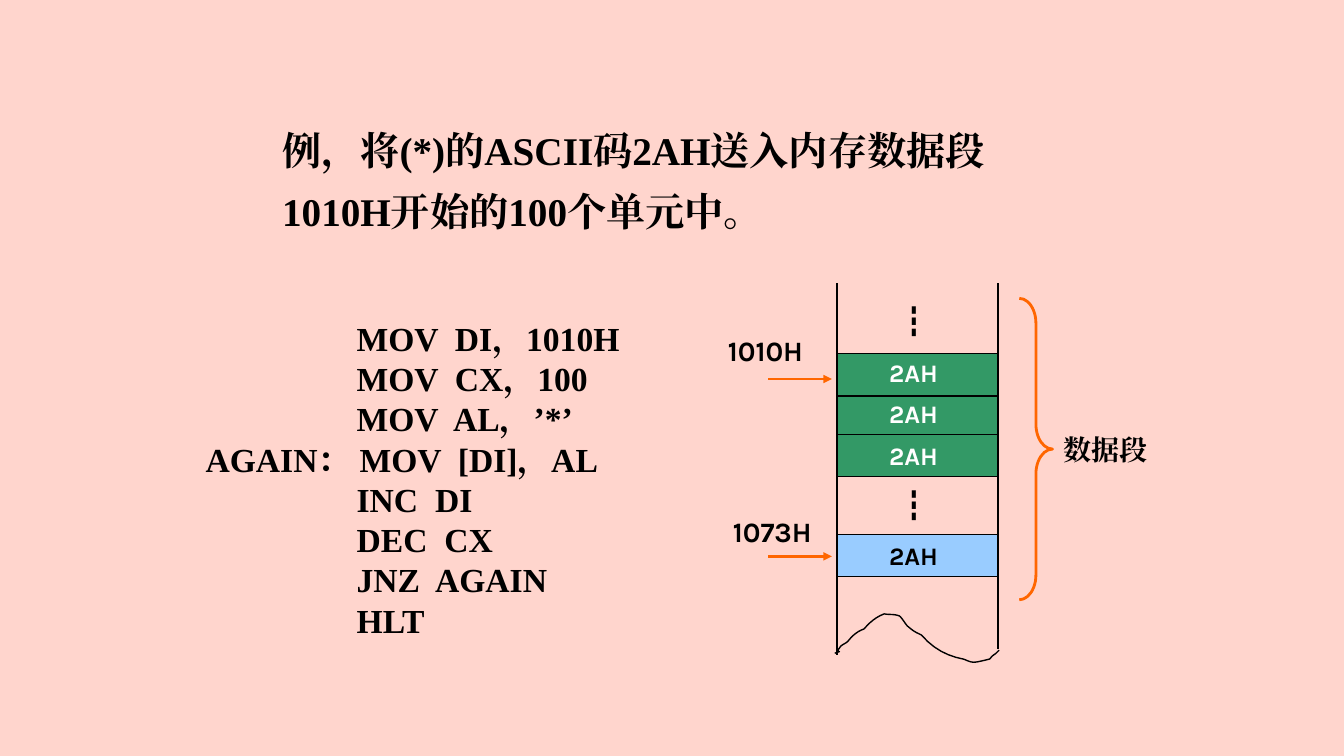
import dataclasses
import itertools
import typing

import lxml.etree
import pptx
import pptx.dml.color
import pptx.enum.shapes
import pptx.enum.text
import pptx.oxml.ns
import pptx.util

Inches = pptx.util.Inches
Pt = pptx.util.Pt
qn = pptx.oxml.ns.qn

BLACK, WHITE, ORANGE = "000000", "FFFFFF", "FF6600"
GREEN, BLUE = "339966", "99CCFF"
SERIF, SANS, CJK = "Times New Roman", "Karla", "Noto Sans CJK SC"
LEFT, RIGHT = 8.3, 9.9

CODE = """\
                  MOV  DI，1010H
                  MOV  CX，100
                  MOV  AL，’*’
AGAIN： MOV  [DI]，AL
                  INC  DI
                  DEC  CX
                  JNZ  AGAIN
                  HLT"""


@dataclasses.dataclass
class Cell:
    top: float
    label: float
    fill: str
    ink: str


@dataclasses.dataclass
class Mark:
    text: str
    left: float
    top: float
    arrow: float


CELLS = [
    Cell(3.91, 3.9, GREEN, WHITE),
    Cell(4.31, 4.32, GREEN, WHITE),
    Cell(3.51, 3.5, GREEN, WHITE),
    Cell(5.3, 5.31, BLUE, BLACK),
]
MARKS = [Mark("1010H", 7.12, 3.26, 3.76), Mark("1073H", 7.17, 5.06, 5.52)]
DOTS = [2.94, 4.76]
WALLS = [(LEFT, 6.5), (RIGHT, 6.44)]

WAVE = [
    (8.28, 6.48),
    (8.39, 6.44), (8.26, 6.5), (8.34, 6.41),
    (8.36, 6.39), (8.4, 6.38), (8.42, 6.35),
    (8.46, 6.3), (8.51, 6.26), (8.57, 6.24),
    (8.63, 6.17), (8.69, 6.12), (8.77, 6.09),
    (8.82, 6.1), (8.87, 6.09), (8.92, 6.11),
    (8.94, 6.12), (8.98, 6.19), (9, 6.21),
    (9.07, 6.27), (9.08, 6.27), (9.14, 6.3),
    (9.26, 6.44), (9.4, 6.51), (9.56, 6.54),
    (9.66, 6.58), (9.64, 6.58), (9.81, 6.54),
    (9.82, 6.54), (9.83, 6.52), (9.84, 6.51),
    (9.85, 6.5), (9.87, 6.49), (9.88, 6.48),
    (9.89, 6.47), (9.91, 6.45), (9.91, 6.45),
]


def color(code: str) -> pptx.dml.color.RGBColor:
    return pptx.dml.color.RGBColor.from_string(code)


def text(slide: typing.Any, words: str, left: float, top: float, width: float,
         height: float, *, size: float, font: str = SERIF, ink: str = BLACK,
         bold: bool = True, space: typing.Optional[float] = None) -> None:
    box = slide.shapes.add_textbox(Inches(left), Inches(top), Inches(width), Inches(height))
    frame = box.text_frame
    frame.word_wrap = True
    frame.auto_size = pptx.enum.text.MSO_AUTO_SIZE.SHAPE_TO_FIT_TEXT
    frame.text = words
    for para in frame.paragraphs:
        if space:
            para.line_spacing = space
        for run in para.runs:
            run.font.size = Pt(size)
            run.font.name = font
            run.font.bold = bold
            run.font.color.rgb = color(ink)
            east = lxml.etree.SubElement(run.font._element, qn("a:ea"))
            east.set("typeface", font)


def line(slide: typing.Any, start: tuple[float, float], end: tuple[float, float],
         ink: str, width: float, arrow: bool = False) -> None:
    link = slide.shapes.add_connector(
        pptx.enum.shapes.MSO_CONNECTOR.STRAIGHT, *map(Inches, (*start, *end)))
    link.line.color.rgb = color(ink)
    link.line.width = Pt(width)
    if arrow:
        tail = lxml.etree.SubElement(link.line._get_or_add_ln(), qn("a:tailEnd"))
        tail.set("type", "triangle")
    lxml.etree.SubElement(link._element.spPr, qn("a:effectLst"))


def style(shape: typing.Any, ink: str, width: float,
          fill: typing.Optional[str] = None) -> None:
    shape.shadow.inherit = False
    shape.line.color.rgb = color(ink)
    shape.line.width = Pt(width)
    if fill:
        shape.fill.solid()
        shape.fill.fore_color.rgb = color(fill)
    else:
        shape.fill.background()


def curve(knots: list[tuple[float, float]], steps: int = 6) -> list[tuple[float, float]]:
    points = [knots[0]]
    for first, step in itertools.product(range(0, len(knots) - 1, 3), range(1, steps + 1)):
        t = step / steps
        parts = ((1 - t) ** 3, 3 * t * (1 - t) ** 2, 3 * t * t * (1 - t), t ** 3)
        group = knots[first:first + 4]
        points.append((sum(p * k[0] for p, k in zip(parts, group)),
                       sum(p * k[1] for p, k in zip(parts, group))))
    return points


def memory(slide: typing.Any) -> None:
    kinds = pptx.enum.shapes.MSO_SHAPE
    for mark in MARKS:
        text(slide, mark.text, mark.left, mark.top, 1.15, 0.44, size=20, font=SANS)
        line(slide, (7.62, mark.arrow), (8.25, mark.arrow), ORANGE, 1.75, arrow=True)
    for cell in CELLS:
        rect = slide.shapes.add_shape(
            kinds.RECTANGLE, Inches(LEFT), Inches(cell.top), Inches(RIGHT - LEFT), Inches(0.42))
        style(rect, BLACK, 1, cell.fill)
    for cell in CELLS:
        text(slide, "2AH", 8.72, cell.label, 1.02, 0.4, size=18, font=SANS, ink=cell.ink)
    for left, end in WALLS:
        line(slide, (left, 2.81), (left, end), BLACK, 1)
    for top in DOTS:
        text(slide, "┇", 8.8, top, 0.67, 0.5, size=24, font=CJK, bold=False)

    points = [(Inches(x), Inches(y)) for x, y in curve(WAVE)]
    path = slide.shapes.build_freeform(*points[0])
    path.add_line_segments(points[1:], close=False)
    style(path.convert_to_shape(), BLACK, 1)

    brace = slide.shapes.add_shape(
        kinds.RIGHT_BRACE, Inches(10.11), Inches(2.96), Inches(0.33), Inches(2.99))
    brace.adjustments[0] = 0.75
    brace.adjustments[1] = 0.5
    style(brace, ORANGE, 2)
    text(slide, "数据段", 10.45, 4.24, 1.06, 0.41, size=20)


def main() -> None:
    deck = pptx.Presentation()
    deck.slide_width, deck.slide_height = Inches(13.33), Inches(7.5)
    slide = deck.slides.add_slide(deck.slide_layouts[6])
    slide.background.fill.solid()
    slide.background.fill.fore_color.rgb = color("FFD5CD")
    text(slide, "例，将(*)的ASCII码2AH送入内存数据段1010H开始的100个单元中。",
         2.7, 1.06, 7.72, 1.29, size=28, space=1.3)
    memory(slide)
    text(slide, CODE, 1.94, 3.1, 5.02, 3.21, size=24)
    deck.save("out.pptx")


if __name__ == "__main__":
    main()
